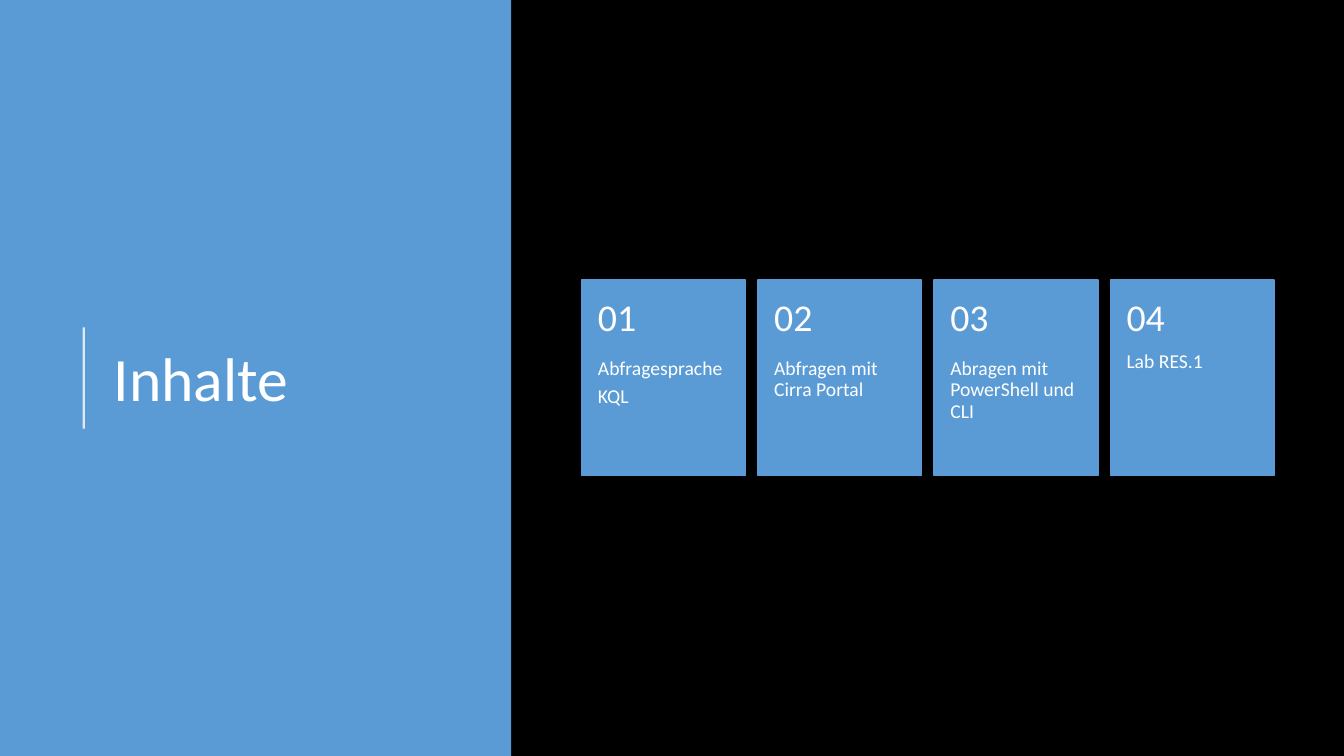
from lxml.etree import SubElement
from pptx import Presentation
from pptx.dml.color import RGBColor
from pptx.enum.shapes import MSO_CONNECTOR as Connector, MSO_SHAPE as Shape
from pptx.enum.text import MSO_ANCHOR as Anchor
from pptx.oxml.ns import qn
from pptx.util import Cm, Pt

BLACK = RGBColor(0x00, 0x00, 0x00)
BLUE = RGBColor(0x5B, 0x9B, 0xD5)
WHITE = RGBColor(0xFF, 0xFF, 0xFF)

CARD_LEFT, CARD_TOP = 14.66, 7.06
CARD_WIDTH, CARD_HEIGHT = 4.13, 4.93
CARD_PITCH = 4.44
NUMBER_HEIGHT = 1.98

topics = [
    ["Abfragesprache", "KQL"],
    ["Abfragen mit Cirra Portal"],
    ["Abragen mit PowerShell und CLI"],
    ["Lab RES.1"],
]

deck = Presentation()
deck.slide_width, deck.slide_height = Cm(33.87), Cm(19.05)
page = deck.slides.add_slide(deck.slide_layouts[6])
page.background.fill.solid()
page.background.fill.fore_color.rgb = BLACK


def add_text(lines, left, top, width, height, size, insets, anchor=Anchor.MIDDLE, after=0):
    box = page.shapes.add_textbox(Cm(left), Cm(top), Cm(width), Cm(height))
    frame = box.text_frame
    frame.word_wrap = True
    frame.vertical_anchor = anchor
    frame.margin_left, frame.margin_top, frame.margin_right, frame.margin_bottom = map(Cm, insets)
    for index, line in enumerate(lines):
        para = frame.add_paragraph() if index else frame.paragraphs[0]
        para.line_spacing = 0.9
        para.space_after = Pt(after)
        span = para.add_run()
        span.text = line
        span.font.name = "Calibri"
        span.font.size = Pt(size)
        span.font.color.rgb = WHITE


def add_panel(left, top, width, height):
    panel = page.shapes.add_shape(Shape.RECTANGLE, Cm(left), Cm(top), Cm(width), Cm(height))
    panel.shadow.inherit = False
    panel.fill.solid()
    panel.fill.fore_color.rgb = BLUE
    return panel


add_panel(0, 0, 12.88, 19.05).line.fill.background()

rule = page.shapes.add_connector(Connector.STRAIGHT, Cm(2.11), Cm(10.8), Cm(2.11), Cm(8.25))
rule.line.color.rgb = WHITE
rule.line.width = Pt(1.5)
properties = rule.element.spPr
color = properties.find(".//" + qn("a:srgbClr"))
SubElement(color, qn("a:alpha")).set("val", "80000")
SubElement(properties, qn("a:effectLst"))

add_text(["Inhalte"], 2.62, 1.98, 9.37, 15.29, size=44, insets=(0.25, 0.13, 0.25, 0.13))

for index, lines in enumerate(topics):
    left = CARD_LEFT + index * CARD_PITCH
    card = add_panel(left, CARD_TOP, CARD_WIDTH, CARD_HEIGHT)
    card.line.color.rgb = BLUE
    card.line.width = Pt(1)
    add_text(lines, left, CARD_TOP + NUMBER_HEIGHT, CARD_WIDTH, CARD_HEIGHT - NUMBER_HEIGHT,
             size=14, insets=(0.41, 0, 0.41, 0.91), anchor=Anchor.TOP, after=5)
    add_text([f"{index + 1:02d}"], left, CARD_TOP, CARD_WIDTH, NUMBER_HEIGHT,
             size=27, insets=(0.41, 0.46, 0.41, 0.46))

deck.save("out.pptx")
